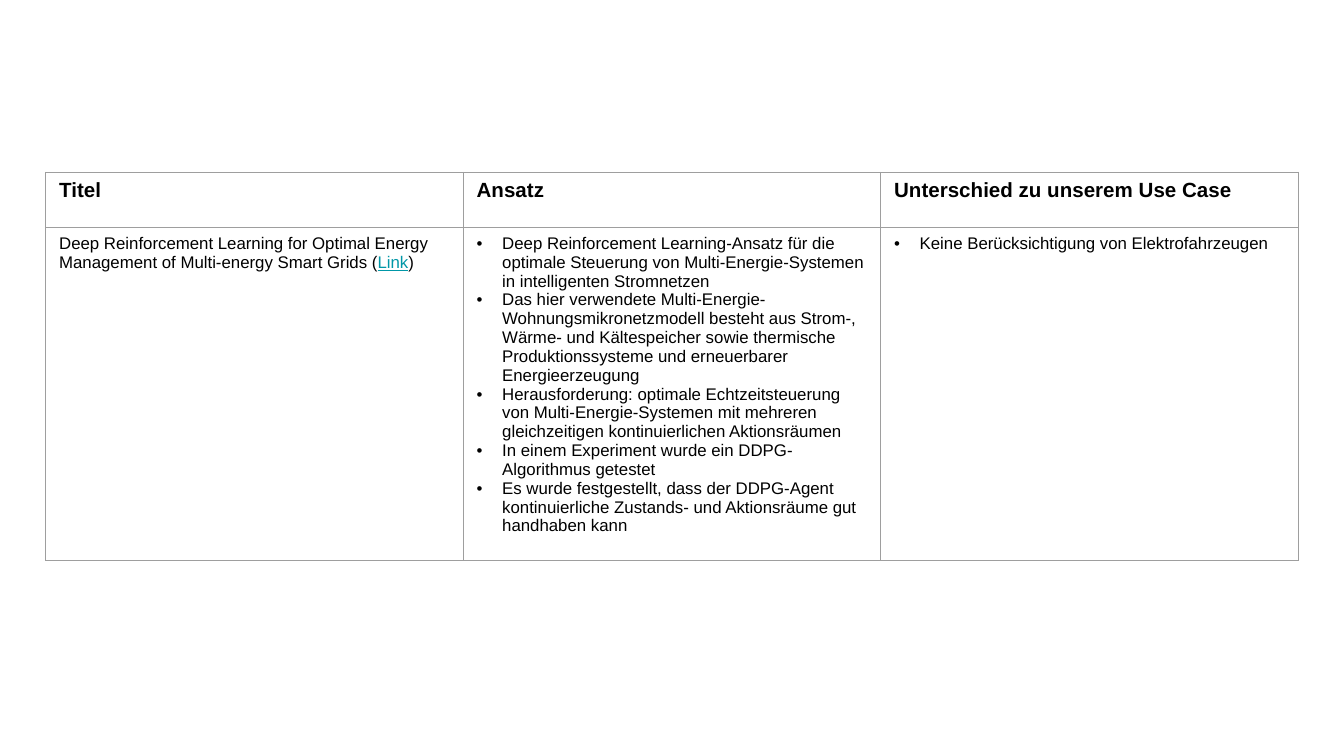
import pptx
import pptx.dml.color
import pptx.oxml
import pptx.oxml.ns
import pptx.util
from pptx.util import Inches

BLACK = pptx.dml.color.RGBColor(0x00, 0x00, 0x00)
TEAL = pptx.dml.color.RGBColor(0x00, 0x97, 0xA7)
GREY = pptx.dml.color.RGBColor(0x9E, 0x9E, 0x9E)

HEADER_FORMAT = {"name": "Arial", "size": pptx.util.Pt(11), "bold": True}
BODY_FORMAT = {"name": "Arial", "size": pptx.util.Pt(9), "bold": False}
LINK_FORMAT = {**BODY_FORMAT, "underline": True}

PAGE_WIDTH = Inches(10)
PAGE_HEIGHT = PAGE_WIDTH * 9 // 16
TABLE_WIDTH = Inches(9.32)
TABLE_LEFT = (PAGE_WIDTH - TABLE_WIDTH) // 2
TABLE_TOP = (PAGE_HEIGHT - Inches(3.06)) // 2
ROW_HEIGHTS = [Inches(0.41), Inches(2.48)]
BULLET_INDENT = Inches(0.19)
BORDER_WIDTH = pptx.util.Pt(0.75)

HEADINGS = ["Titel", "Ansatz", "Unterschied zu unserem Use Case"]
TITLE_SPANS = [
    ("Deep Reinforcement Learning for Optimal Energy Management of Multi-energy Smart Grids (", BODY_FORMAT, BLACK),
    ("Link", LINK_FORMAT, TEAL),
    (")", BODY_FORMAT, BLACK),
]
APPROACH = [
    "Deep Reinforcement Learning-Ansatz für die optimale Steuerung von Multi-Energie-Systemen in intelligenten Stromnetzen",
    "Das hier verwendete Multi-Energie-Wohnungsmikronetzmodell besteht aus Strom-, Wärme- und Kältespeicher sowie thermische Produktionssysteme und erneuerbarer Energieerzeugung",
    "Herausforderung: optimale Echtzeitsteuerung von Multi-Energie-Systemen mit mehreren gleichzeitigen kontinuierlichen Aktionsräumen",
    "In einem Experiment wurde ein DDPG-Algorithmus getestet",
    "Es wurde festgestellt, dass der DDPG-Agent kontinuierliche Zustands- und Aktionsräume gut handhaben kann",
]
DIFFERENCES = ["Keine Berücksichtigung von Elektrofahrzeugen"]


def add_span(para, text, font_format, color):
    span = para.add_run()
    span.text = text
    for attribute, value in font_format.items():
        setattr(span.font, attribute, value)
    span.font.color.rgb = color


def add_bullet(para):
    properties = para._p.get_or_add_pPr()
    properties.set("marL", str(BULLET_INDENT))
    properties.set("indent", str(-BULLET_INDENT))
    namespace = pptx.oxml.ns.nsdecls("a")
    for markup in (
        f'<a:buClr {namespace}><a:srgbClr val="{BLACK}"/></a:buClr>',
        f'<a:buFont {namespace} typeface="Arial"/>',
        f'<a:buChar {namespace} char="•"/>',
    ):
        properties.append(pptx.oxml.parse_xml(markup))


def fill_bullets(cell, lines):
    frame = cell.text_frame
    for index, line in enumerate(lines):
        para = frame.add_paragraph() if index else frame.paragraphs[0]
        add_bullet(para)
        add_span(para, line, BODY_FORMAT, BLACK)


def style_cell(cell):
    cell.fill.background()
    properties = cell._tc.get_or_add_tcPr()
    namespace = pptx.oxml.ns.nsdecls("a")
    for index, side in enumerate(("lnL", "lnR", "lnT", "lnB")):
        properties.insert(index, pptx.oxml.parse_xml(
            f'<a:{side} {namespace} w="{BORDER_WIDTH}"><a:solidFill>'
            f'<a:srgbClr val="{GREY}"/></a:solidFill></a:{side}>'
        ))


def add_grid(page):
    frame = page.shapes.add_table(
        len(ROW_HEIGHTS), len(HEADINGS), TABLE_LEFT, TABLE_TOP,
        TABLE_WIDTH, sum(ROW_HEIGHTS),
    )
    table = frame.table
    table.first_row = False
    table.horz_banding = False
    for row, height in zip(table.rows, ROW_HEIGHTS):
        row.height = height
    for cell in table.iter_cells():
        style_cell(cell)
    return table


def main():
    deck = pptx.Presentation()
    deck.slide_width = PAGE_WIDTH
    deck.slide_height = PAGE_HEIGHT
    page = deck.slides.add_slide(deck.slide_layouts[6])
    table = add_grid(page)
    for column, heading in enumerate(HEADINGS):
        para = table.cell(0, column).text_frame.paragraphs[0]
        add_span(para, heading, HEADER_FORMAT, BLACK)
    title_para = table.cell(1, 0).text_frame.paragraphs[0]
    for text, font_format, color in TITLE_SPANS:
        add_span(title_para, text, font_format, color)
    fill_bullets(table.cell(1, 1), APPROACH)
    fill_bullets(table.cell(1, 2), DIFFERENCES)
    deck.save("out.pptx")


if __name__ == "__main__":
    main()
